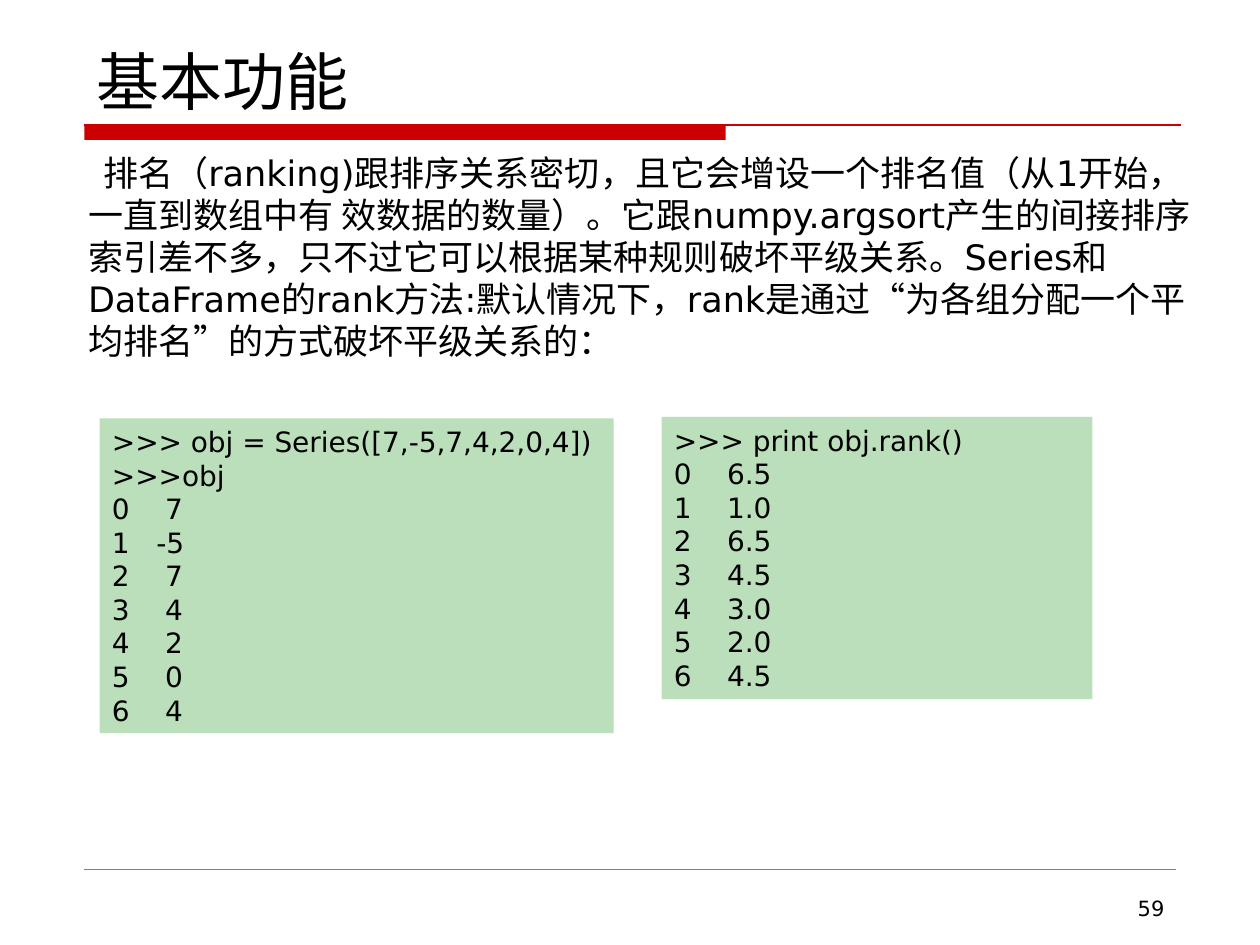
"""Build the slide on ranking a Series, with two code panels."""
from dataclasses import dataclass

from lxml import etree
from pptx import Presentation
from pptx.dml.color import RGBColor
from pptx.enum import shapes, text
from pptx.oxml import ns
from pptx.util import Inches, Pt


@dataclass(frozen=True)
class Theme:
    font: str = "DejaVu Sans"
    ink: str = "000000"
    accent: str = "CC0000"
    rule: str = "808080"
    panel: str = "BBDFBB"
    title: int = 36
    body: int = 20
    code: int = 16
    number: int = 12


THEME = Theme()

BODY = (
    "排名（ranking)跟排序关系密切，且它会增设一个排名值（从1开始，一直到数组中有 效数据的数量）。"
    "它跟numpy.argsort产生的间接排序索引差不多，只不过它可以根据某种规则破坏平级关系。"
    "Series和DataFrame的rank方法:默认情况下，rank是通过“为各组分配一个平均排名”的方式破坏平级关系的："
)
SERIES_CODE = [
    ">>> obj = Series([7,-5,7,4,2,0,4])",
    ">>>obj",
    "0    7",
    "1   -5",
    "2    7",
    "3    4",
    "4    2",
    "5    0",
    "6    4",
]
RANK_CODE = [
    ">>> print obj.rank()",
    "0    6.5",
    "1    1.0",
    "2    6.5",
    "3    4.5",
    "4    3.0",
    "5    2.0",
    "6    4.5",
]


def write(tf, lines, size, align=text.PP_ALIGN.LEFT):
    tf.word_wrap = True
    for i, line in enumerate(lines):
        p = tf.paragraphs[0] if i == 0 else tf.add_paragraph()
        p.text = line
        p.alignment = align
        p.font.name = THEME.font
        p.font.size = Pt(size)
        p.font.color.rgb = RGBColor.from_string(THEME.ink)


def add_text(s, box, line, size, align=text.PP_ALIGN.LEFT,
             anchor=text.MSO_ANCHOR.TOP):
    tf = s.shapes.add_textbox(*map(Inches, box)).text_frame
    tf.vertical_anchor = anchor
    write(tf, [line], size, align)
    return tf


def add_body(s, box, line):
    tf = add_text(s, box, line, THEME.body)
    props = tf.paragraphs[0]._p.get_or_add_pPr()
    props.set("indent", str(Inches(0.12)))
    props.set("hangingPunct", "0")


def add_block(s, box, color):
    sp = s.shapes.add_shape(shapes.MSO_SHAPE.RECTANGLE, *map(Inches, box))
    sp.shadow.inherit = False
    sp.fill.solid()
    sp.fill.fore_color.rgb = RGBColor.from_string(color)
    sp.line.fill.background()
    return sp


def add_code(s, box, lines):
    tf = add_block(s, box, THEME.panel).text_frame
    tf.vertical_anchor = text.MSO_ANCHOR.TOP
    write(tf, lines, THEME.code)
    tf.auto_size = text.MSO_AUTO_SIZE.SHAPE_TO_FIT_TEXT


def add_rule(s, left, right, y, color, width):
    line = s.shapes.add_connector(
        shapes.MSO_CONNECTOR.STRAIGHT,
        Inches(left), Inches(y), Inches(right), Inches(y))
    line.line.color.rgb = RGBColor.from_string(color)
    line.line.width = Pt(width)
    etree.SubElement(line._element.spPr, ns.qn("a:effectLst"))


def main():
    prs = Presentation()
    prs.slide_width, prs.slide_height = Inches(10), Inches(7.5)
    s = prs.slides.add_slide(prs.slide_layouts[6])

    add_block(s, (0.67, 0.99, 5.09, 0.12), THEME.accent)
    add_rule(s, 0.67, 9.37, 0.99, THEME.accent, 1)
    add_rule(s, 0.67, 9.33, 6.9, THEME.rule, 0.25)

    add_text(s, (0.67, 0.33, 8.75, 0.66), "基本功能", THEME.title,
             anchor=text.MSO_ANCHOR.BOTTOM)
    add_text(s, (7.17, 7.06, 2.17, 0.29), "59", THEME.number,
             align=text.PP_ALIGN.RIGHT)
    add_body(s, (0.6, 1.15, 8.98, 5.68), BODY)

    add_code(s, (0.79, 3.32, 4.08, 2.5), SERIES_CODE)
    add_code(s, (5.25, 3.31, 3.42, 2.24), RANK_CODE)

    prs.save("out.pptx")


if __name__ == "__main__":
    main()
